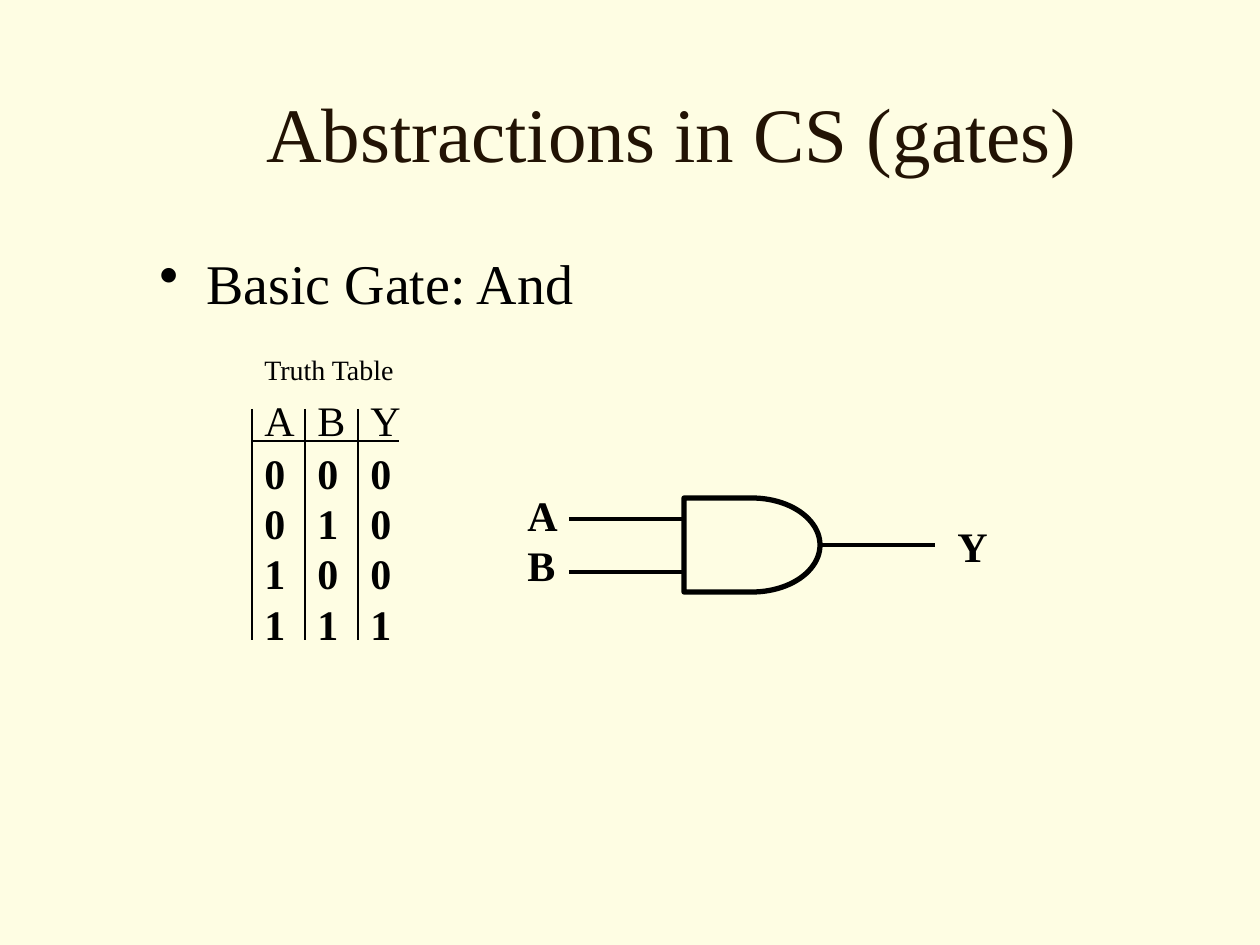
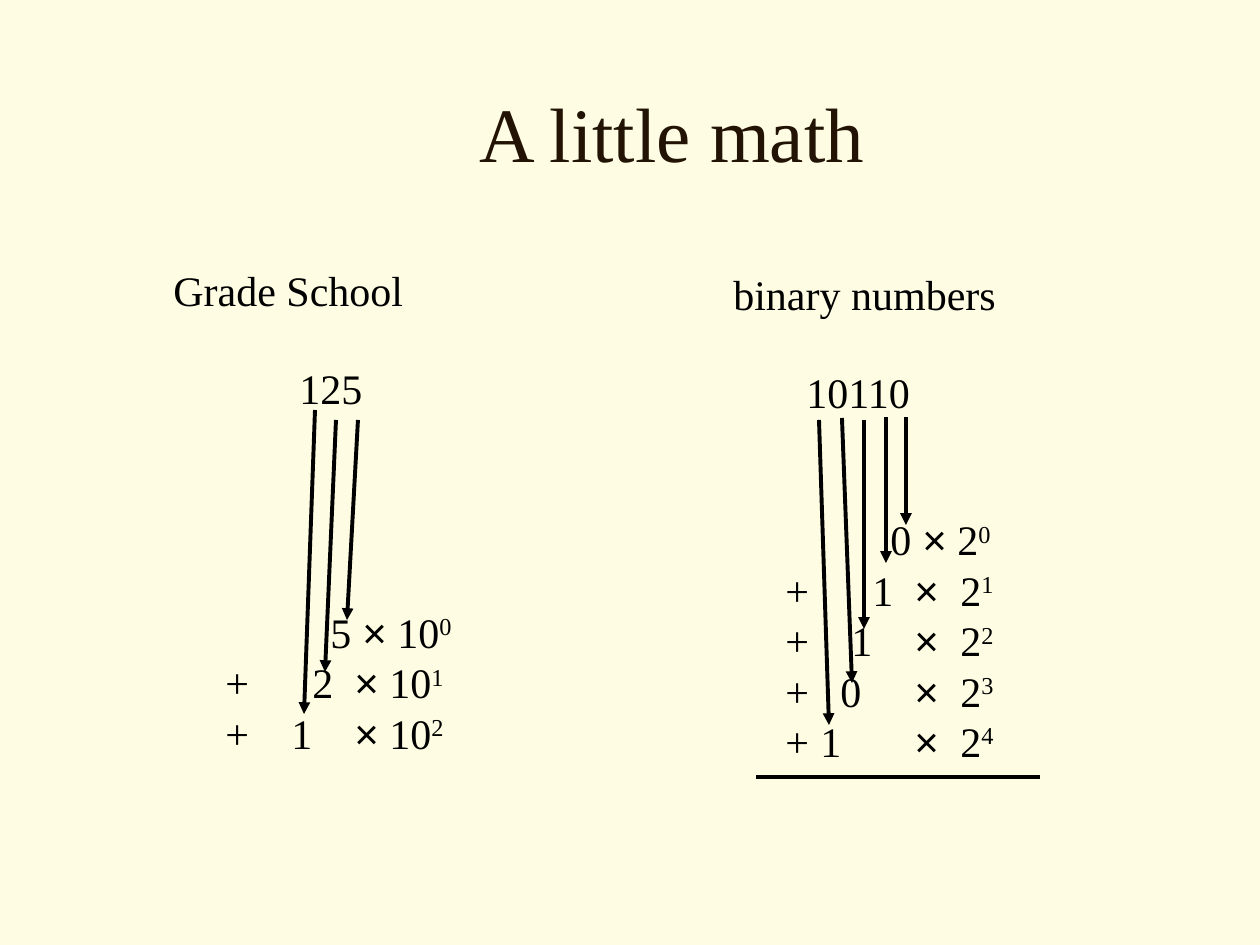
from lxml import etree
from pptx import Presentation
from pptx.dml import color
from pptx.enum import shapes, text
from pptx.oxml import ns
from pptx.util import Emu, Pt

EMU_PER_PX = 914400 / 126
SERIF = "Times New Roman"
SANS = "Arial"
PAPER = "FEFDE3"
INK = "000000"
TITLE_INK = "221304"
LINE_HEIGHT = 27.6
TITLE_BOX = (147, 53, 1050, 158)
BODY_BOX = (147, 242, 1050, 567)


def px(length):
    return Emu(round(length * EMU_PER_PX))


def rgb(value):
    return color.RGBColor.from_string(value)


def add_element(parent, tag, **attributes):
    element = etree.SubElement(parent, ns.qn(tag))
    for name, value in attributes.items():
        element.set(name, str(value))
    return element


def add_run(paragraph, content, ink=INK, raised=False, **formats):
    run = paragraph.add_run()
    run.text = content
    run.font.color.rgb = rgb(ink)
    for name, value in {"name": SERIF, "size": Pt(24), **formats}.items():
        setattr(run.font, name, value)
    if raised:
        run.font._element.set("baseline", "30000")


def add_frame(slide, box, wrap=False, anchor=text.MSO_ANCHOR.TOP):
    frame = slide.shapes.add_textbox(*map(px, box)).text_frame
    frame.word_wrap = wrap
    frame.vertical_anchor = anchor
    return frame


def next_paragraph(frame):
    first = frame.paragraphs[0]
    return frame.add_paragraph() if first.runs else first


def add_lines(slide, box, lines, **formats):
    frame = add_frame(slide, box)
    for line in lines:
        add_run(next_paragraph(frame), line, **formats)


def add_line(slide, start, end, weight=2.25, arrow=False):
    connector = slide.shapes.add_connector(
        shapes.MSO_CONNECTOR.STRAIGHT, *map(px, (*start, *end)))
    connector.line.color.rgb = rgb(INK)
    connector.line.width = Pt(weight)
    properties = connector.element.spPr
    if arrow:
        add_element(properties.find(ns.qn("a:ln")), "a:tailEnd", type="triangle")
    add_element(properties, "a:effectLst")
    return connector


def add_slide(presentation, title):
    slide = presentation.slides.add_slide(presentation.slide_layouts[6])
    slide.background.fill.solid()
    slide.background.fill.fore_color.rgb = rgb(PAPER)
    frame = add_frame(slide, TITLE_BOX, True, text.MSO_ANCHOR.MIDDLE)
    paragraph = frame.paragraphs[0]
    paragraph.alignment = text.PP_ALIGN.CENTER
    add_run(paragraph, title, ink=TITLE_INK, size=Pt(44))
    return slide


def add_bullet(slide, box, content):
    paragraph = add_frame(slide, box, True).paragraphs[0]
    paragraph.space_before = Pt(8)
    properties = paragraph._p.get_or_add_pPr()
    properties.set("marL", str(px(47)))
    properties.set("indent", str(-px(47)))
    add_element(properties, "a:buChar", char="•")
    add_run(paragraph, content, size=Pt(32))


def add_truth_table(slide, left, top, columns):
    pitch, rule, bottom = 53, top + 95, top + 294
    add_lines(slide, (left, top, 158, 47), ["Truth Table"], size=Pt(16))
    for index, (name, values) in enumerate(columns):
        x = left + index * pitch
        add_line(slide, (x, top + 63), (x, bottom), 0.75)
        add_lines(slide, (x, top + 42, 55, 63), name)
        add_lines(slide, (x, rule, 46, 214), values, bold=True)
    add_line(slide, (left, rule), (left + 147, rule), 0.75)


def add_and_gate(slide, left, top):
    gate = slide.shapes.add_shape(
        shapes.MSO_SHAPE.FLOWCHART_DELAY, *map(px, (left, top, 136, 94)))
    gate.shadow.inherit = False
    gate.fill.background()
    gate.line.color.rgb = rgb(INK)
    gate.line.width = Pt(3)
    for drop in (21, 74):
        add_line(slide, (left - 115, top + drop), (left, top + drop))
    output = add_line(slide, (left + 136, top + 47), (left + 251, top + 47))
    output.begin_connect(gate, 3)
    add_lines(slide, (left - 169, top - 15, 55, 113), "AB", bold=True)
    add_lines(slide, (left + 261, top + 16, 55, 63), "Y", bold=True)


def add_tabbed(frame, cells, blank_lines=0, exponent=None):
    paragraph = next_paragraph(frame)
    paragraph.space_before = Pt(blank_lines * LINE_HEIGHT)
    stops = add_element(paragraph._p.get_or_add_pPr(), "a:tabLst")
    for stop, content in cells:
        if stop:
            add_element(stops, "a:tab", pos=px(stop), algn="l")
            add_run(paragraph, "\t")
        add_run(paragraph, content, name=SANS if content == "×" else SERIF)
    if exponent is not None:
        add_run(paragraph, str(exponent), raised=True)


def add_expansion(slide, box, heading, number, base, number_stop, base_stop,
                  digit_stops, blank_lines, arrows):
    left, top = box[:2]
    frame = add_frame(slide, box, True)
    add_tabbed(frame, [(0, heading)])
    add_tabbed(frame, [(number_stop, number)], 1)
    for power, (digit, stop) in enumerate(zip(reversed(number), digit_stops)):
        if power == 0:
            cells = [(stop, digit), (189, "×"), (224, base)]
        else:
            cells = [(52, "+"), (stop, digit), (181, "×"), (base_stop, base)]
        add_tabbed(frame, cells, 0 if power else blank_lines, power)
    for x1, y1, x2, y2 in arrows:
        add_line(slide, (left + x1, top + y1), (left + x2, top + y2), arrow=True)


def build_gates_slide(presentation):
    slide = add_slide(presentation, "Abstractions in CS (gates)")
    add_bullet(slide, BODY_BOX, "Basic Gate: And")
    add_truth_table(slide, 252, 346, [("A", "0011"), ("B", "0101"), ("Y", "0001")])
    add_and_gate(slide, 684, 498)


def build_math_slide(presentation):
    slide = add_slide(presentation, "A little math")
    add_expansion(
        slide, (161, 258, 312, 517), "Grade School", "125", "10",
        number_stop=126, base_stop=216, digit_stops=(157, 139, 118), blank_lines=4,
        arrows=[(154, 152, 143, 456), (175, 162, 164, 414), (197, 162, 186, 362)])
    add_expansion(
        slide, (721, 262, 304, 517), "binary numbers", "10110", "2",
        number_stop=73, base_stop=227, digit_stops=(157, 139, 118, 107, 87),
        blank_lines=2,
        arrows=[(185, 155, 185, 263), (165, 155, 165, 301), (143, 158, 143, 367),
                (121, 156, 131, 421), (98, 158, 108, 463)])
    add_line(slide, (756, 777), (1040, 777))


def main():
    presentation = Presentation()
    presentation.slide_width = px(1260)
    presentation.slide_height = px(945)
    build_gates_slide(presentation)
    build_math_slide(presentation)
    presentation.save("out.pptx")


if __name__ == "__main__":
    main()
